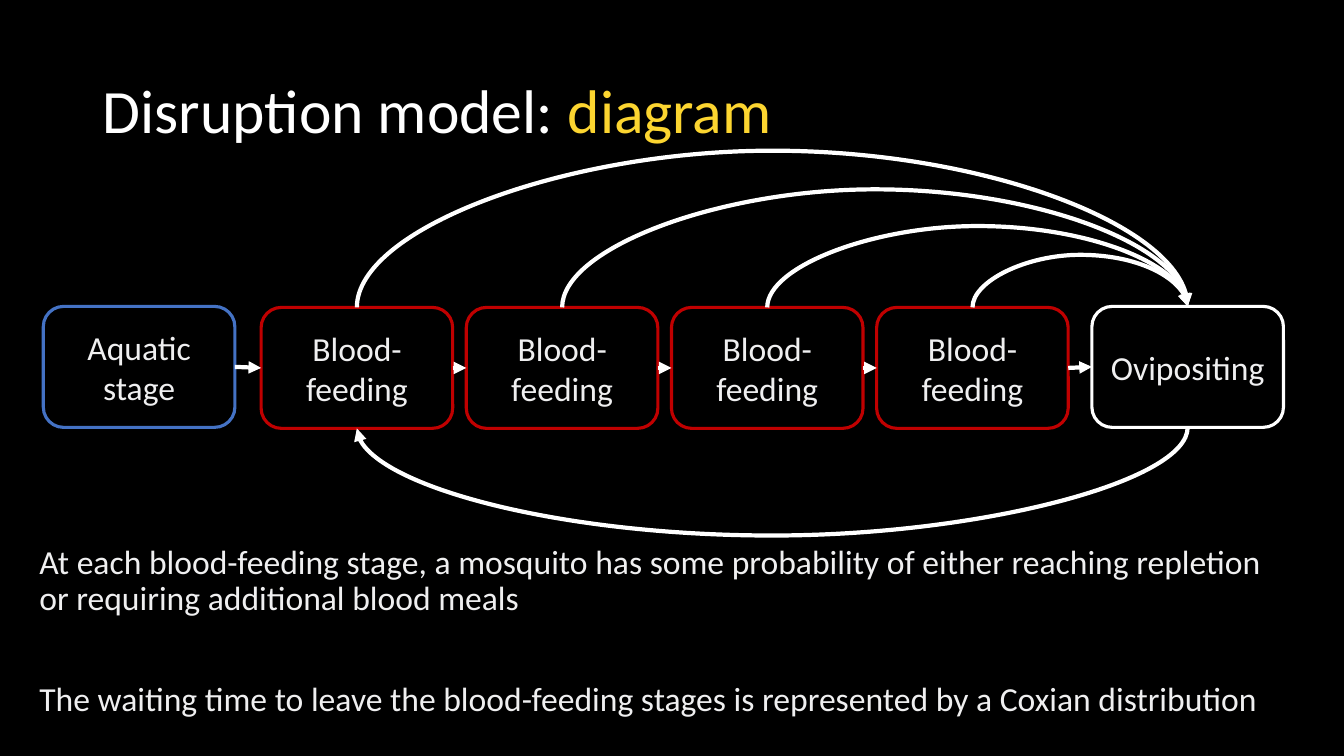
from dataclasses import dataclass

from lxml.etree import SubElement
from pptx import Presentation
from pptx.dml.color import RGBColor
from pptx.enum.dml import MSO_LINE
from pptx.enum.shapes import MSO_CONNECTOR, MSO_SHAPE
from pptx.enum.text import MSO_ANCHOR, MSO_AUTO_SIZE, PP_ALIGN
from pptx.oxml.ns import qn
from pptx.shapes.connector import Connector
from pptx.slide import Slide
from pptx.text.text import Font
from pptx.util import Inches, Pt

ROUND = MSO_SHAPE.ROUNDED_RECTANGLE
STRAIGHT, CURVE = MSO_CONNECTOR.STRAIGHT, MSO_CONNECTOR.CURVE
DOTS = MSO_LINE.SQUARE_DOT
MIDDLE, TOP = MSO_ANCHOR.MIDDLE, MSO_ANCHOR.TOP
CENTER, LEFT = PP_ALIGN.CENTER, PP_ALIGN.LEFT
FIXED = MSO_AUTO_SIZE.NONE

BLACK, WHITE, PALE = "000000", "FFFFFF", "EFEFF0"
RED, BLUE, GOLD = "C00000", "4472C4", "FCD530"
WIDE, HIGH, THIN = 1.9, 1.2, 0.01
NOTES = (
    "At each blood-feeding stage, a mosquito has some probability of either "
    "reaching repletion or requiring additional blood meals",
    "The waiting time to leave the blood-feeding stages is represented "
    "by a Coxian distribution",
)


@dataclass
class Stage:
    """A rounded box of the model."""

    text: str
    left: float
    top: float
    color: str

    @property
    def mid(self) -> float:
        """Return the horizontal centre."""
        return self.left + WIDE / 2

    @property
    def row(self) -> float:
        """Return the vertical centre."""
        return self.top + HIGH / 2


FEEDS = [Stage("Blood-feeding", 2.59 + 2.035 * i, 3.05, RED) for i in range(4)]
WATER = Stage("Aquatic stage", 0.43, 3.04, BLUE)
EGGS = Stage("Ovipositing", 10.83, 3.04, WHITE)
CHAIN = [WATER, *FEEDS, EGGS]
RISES = (1.58, 1.19, 0.82, 0.53)
DROP = -1.08


def rgb(code: str) -> RGBColor:
    """Turn a hex string into a colour."""
    return RGBColor.from_string(code)


def style(font: Font, size: float, color: str) -> None:
    """Set face, size and colour."""
    font.name, font.size = "Calibri", Pt(size)
    font.color.rgb = rgb(color)


def draw_stage(slide: Slide, stage: Stage) -> None:
    """Draw one stage box with its label."""
    box = slide.shapes.add_shape(
        ROUND, Inches(stage.left), Inches(stage.top), Inches(WIDE), Inches(HIGH)
    )
    box.shadow.inherit = False
    box.fill.background()
    box.line.color.rgb = rgb(stage.color)
    box.line.width = Pt(2.25)
    frame = box.text_frame
    frame.word_wrap, frame.vertical_anchor = True, MIDDLE
    frame.text = stage.text
    para = frame.paragraphs[0]
    para.alignment = CENTER
    style(para.runs[0].font, 24, PALE)


def add_line(
    slide: Slide, kind: MSO_CONNECTOR, ends: tuple[float, ...], tip: str = "tailEnd"
) -> Connector:
    """Draw a white connector with one arrowhead."""
    line = slide.shapes.add_connector(kind, *map(Inches, ends))
    line.line.color.rgb = rgb(WHITE)
    line.line.width = Pt(3)
    SubElement(line.line._get_or_add_ln(), qn(f"a:{tip}"), type="triangle")
    SubElement(line._element.spPr, qn("a:effectLst"))
    return line


def add_arc(slide: Slide, start: float, row: float, rise: float, tip: str) -> None:
    """Draw a curve from a start to the last stage, bulging up by the rise."""
    mid, half = (start + EGGS.mid) / 2, (EGGS.mid - start) / 2
    ends = (mid + THIN / 2, row + half, mid - THIN / 2, row - half)
    line = add_line(slide, CURVE, ends, tip)
    props = line._element.spPr
    props.find(qn("a:xfrm")).set("rot", "5400000")
    geom = props.find(qn("a:prstGeom"))
    guides = geom.find(qn("a:avLst"))
    if guides is None:
        guides = SubElement(geom, qn("a:avLst"))
    ratio = round(rise / THIN * 100000)
    SubElement(guides, qn("a:gd"), name="adj1", fmla=f"val {ratio}")


def add_title(slide: Slide) -> None:
    """Fill the title placeholder."""
    title = slide.shapes.title
    title.left, title.top = Inches(0.92), Inches(0.4)
    title.width, title.height = Inches(11.5), Inches(1.45)
    frame = title.text_frame
    frame.auto_size, frame.vertical_anchor = FIXED, MIDDLE
    para = frame.paragraphs[0]
    para.alignment, para.line_spacing = LEFT, 0.9
    for text, color in (("Disruption model: ", WHITE), ("diagram", GOLD)):
        run = para.add_run()
        run.text = text
        style(run.font, 44, color)


def add_notes(slide: Slide) -> None:
    """Fill the body placeholder with the two remarks."""
    body = slide.placeholders[1]
    body.left, body.top = Inches(0.29), Inches(5.36)
    body.width, body.height = Inches(12.55), Inches(1.93)
    frame = body.text_frame
    frame.text = "\n".join(NOTES)
    frame.auto_size, frame.vertical_anchor = FIXED, TOP
    for para, gap in zip(frame.paragraphs, (0, 46)):
        props = para._p.get_or_add_pPr()
        props.set("marL", "0")
        props.set("indent", "0")
        SubElement(props, qn("a:buNone"))
        para.alignment, para.line_spacing = LEFT, 0.9
        para.space_before = Pt(gap)
        style(para.runs[0].font, 24, PALE)


def main() -> None:
    """Build and save the slide."""
    deck = Presentation()
    deck.slide_width, deck.slide_height = Inches(13.33), Inches(7.5)
    slide = deck.slides.add_slide(deck.slide_layouts[1])
    fill = slide.background.fill
    fill.solid()
    fill.fore_color.rgb = rgb(BLACK)
    add_title(slide)
    add_notes(slide)
    for stage in CHAIN:
        draw_stage(slide, stage)
    for prev, after in zip(CHAIN, CHAIN[1:]):
        ends = (prev.left + WIDE, prev.row, after.left, after.row)
        line = add_line(slide, STRAIGHT, ends)
        if after is FEEDS[-1]:
            line.line.dash_style = DOTS
    edge = (FEEDS[0].top + EGGS.top) / 2
    for feed, rise in zip(FEEDS, RISES):
        add_arc(slide, feed.mid, edge, rise, "tailEnd")
    add_arc(slide, FEEDS[0].mid, edge + HIGH, DROP, "headEnd")
    deck.save("out.pptx")


if __name__ == "__main__":
    main()
